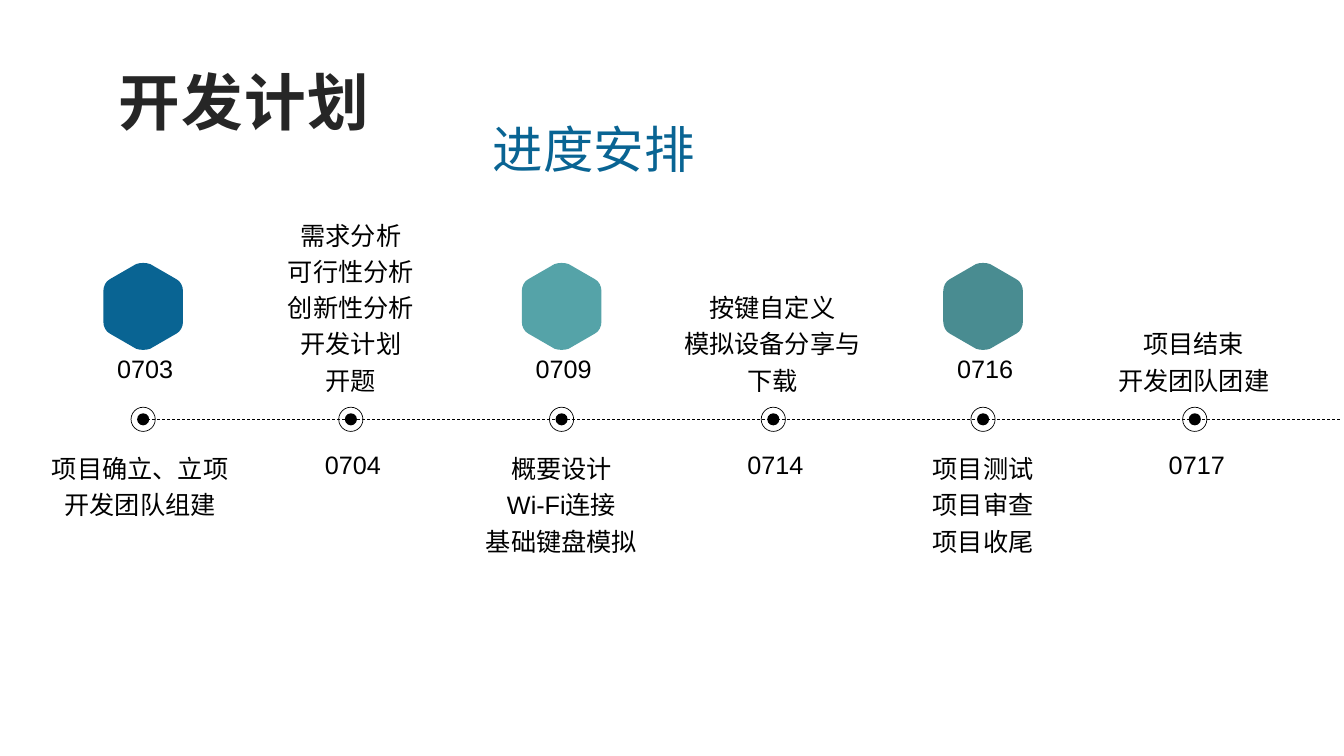
from pptx import Presentation
from pptx.dml.color import RGBColor
from pptx.enum.dml import MSO_LINE
from pptx.enum.shapes import MSO_CONNECTOR, MSO_SHAPE
from pptx.enum.text import MSO_ANCHOR, PP_ALIGN
from pptx.oxml.ns import qn
from pptx.util import Inches, Pt

BLACK = RGBColor(0x00, 0x00, 0x00)
CHARCOAL = RGBColor(0x26, 0x26, 0x26)
BLUE = RGBColor(0x09, 0x64, 0x93)
TEAL = RGBColor(0x55, 0xA3, 0xA8)
DARK_TEAL = RGBColor(0x49, 0x8C, 0x91)

# Grid in inches
FIRST_COLUMN, COLUMN_STEP = 1.39, 2.09
TASK_WIDTH, TASK_HEIGHT = 2.04, 2.28
AXIS = 4.16
HEXAGON_MIDDLE = 3.04
HEXAGON_SIDE, HEXAGON_TOP = 0.79 / 2, 0.87 / 2

# Marker centre, date, hexagon colour (None puts the tasks above the axis), tasks
MILESTONES = [
    (1.42, "0703", BLUE, ["项目确立、立项", "开发团队组建"]),
    (3.48, "0704", None, ["需求分析", "可行性分析", "创新性分析", "开发计划", "开题"]),
    (5.57, "0709", TEAL, ["概要设计", "Wi-Fi连接", "基础键盘模拟"]),
    (7.67, "0714", None, ["按键自定义", "模拟设备分享与下载"]),
    (9.75, "0716", DARK_TEAL, ["项目测试", "项目审查", "项目收尾"]),
    (11.85, "0717", None, ["项目结束", "开发团队团建"]),
]

deck = Presentation()
deck.slide_width, deck.slide_height = Inches(13.33), Inches(7.5)
page = deck.slides.add_slide(deck.slide_layouts[6])


def add_text(lines, left, top, width, height, size=18, color=BLACK, bold=False,
             align=PP_ALIGN.CENTER, anchor=MSO_ANCHOR.TOP, spacing=1.0,
             insets=(0.1, 0.05), wrap=True, tracking=0):
    box = page.shapes.add_textbox(Inches(left), Inches(top), Inches(width), Inches(height))
    frame = box.text_frame
    frame.word_wrap = wrap
    frame.vertical_anchor = anchor
    frame.margin_left = frame.margin_right = Inches(insets[0])
    frame.margin_top = frame.margin_bottom = Inches(insets[1])
    for index, line in enumerate(lines):
        para = frame.paragraphs[0] if index == 0 else frame.add_paragraph()
        para.alignment = align
        para.line_spacing = spacing
        span = para.add_run()
        span.text = line
        span.font.name = "Arial"
        span.font.size = Pt(size)
        span.font.bold = bold
        span.font.color.rgb = color
        if tracking:
            span._r.get_or_add_rPr().set("spc", str(tracking * 100))


def add_hexagon(center, middle, color):
    # Each corner is a start, two control points and an end
    top = [(-0.07, -0.42), (-0.03, -HEXAGON_TOP), (0.03, -HEXAGON_TOP), (0.07, -0.42)]
    side = [(0.33, -0.27), (0.37, -0.25), (HEXAGON_SIDE, -0.2), (HEXAGON_SIDE, -0.15)]
    half = top + side + [(x, -y) for x, y in reversed(side)]
    outline = half + [(-x, -y) for x, y in half]
    points = [(Inches(center + x), Inches(middle + y)) for x, y in outline]
    builder = page.shapes.build_freeform(*points[0])
    builder.add_line_segments(points[1:], close=False)
    hexagon = builder.convert_to_shape()
    hexagon.shadow.inherit = False
    hexagon.fill.solid()
    hexagon.fill.fore_color.rgb = color
    hexagon.line.fill.background()

    # Join the three segments of every corner into one curve
    outline_element = next(hexagon._element.iter(qn("a:path")))
    segments = outline_element.findall(qn("a:lnTo"))
    for first in range(0, len(segments), 4):
        corner = segments[first:first + 3]
        curve = outline_element.makeelement(qn("a:cubicBezTo"), {})
        corner[0].addprevious(curve)
        for segment in corner:
            curve.append(segment[0])
            outline_element.remove(segment)
    outline_element.append(outline_element.makeelement(qn("a:close"), {}))


# Dashed time axis
axis_line = page.shapes.add_connector(MSO_CONNECTOR.STRAIGHT, Inches(1.36), Inches(AXIS),
                                      Inches(13.31), Inches(AXIS))
axis_line.line.color.rgb = BLACK
axis_line.line.width = Pt(0.5)
axis_line.line.dash_style = MSO_LINE.DASH
properties = axis_line._element.spPr
properties.append(properties.makeelement(qn("a:effectLst"), {}))

# Milestones
for column, (center, date, color, tasks) in enumerate(MILESTONES):
    # Ring and dot
    for size, filled in ((0.24, False), (0.12, True)):
        marker = page.shapes.add_shape(
            MSO_SHAPE.OVAL, Inches(center - size / 2), Inches(AXIS - size / 2),
            Inches(size), Inches(size))
        marker.shadow.inherit = False
        if filled:
            marker.fill.solid()
            marker.fill.fore_color.rgb = BLACK
            marker.line.fill.background()
        else:
            marker.fill.background()
            marker.line.color.rgb = BLACK
            marker.line.width = Pt(0.5)

    tasks_below = color is not None
    if tasks_below:
        add_hexagon(center, HEXAGON_MIDDLE, color)

    # Date and tasks on opposite sides of the axis
    add_text([date], center - 0.26, 3.51 if tasks_below else 4.46, 0.56, 0.3,
             anchor=MSO_ANCHOR.MIDDLE, insets=(0, 0), wrap=False)
    add_text(tasks, FIRST_COLUMN + column * COLUMN_STEP - TASK_WIDTH / 2,
             4.39 if tasks_below else 1.69, TASK_WIDTH, TASK_HEIGHT, spacing=1.2,
             anchor=MSO_ANCHOR.TOP if tasks_below else MSO_ANCHOR.BOTTOM)

# Headings
add_text(["进度安排"], 3.91, 1.12, 3.96, 0.71, size=36, color=BLUE,
         anchor=MSO_ANCHOR.BOTTOM, spacing=0.9)
add_text(["开发计划"], 1.13, 0.51, 2.95, 1.06, size=44, color=CHARCOAL, bold=True,
         align=PP_ALIGN.LEFT, spacing=1.1, insets=(0.05, 0.05), tracking=1)

deck.save("out.pptx")
